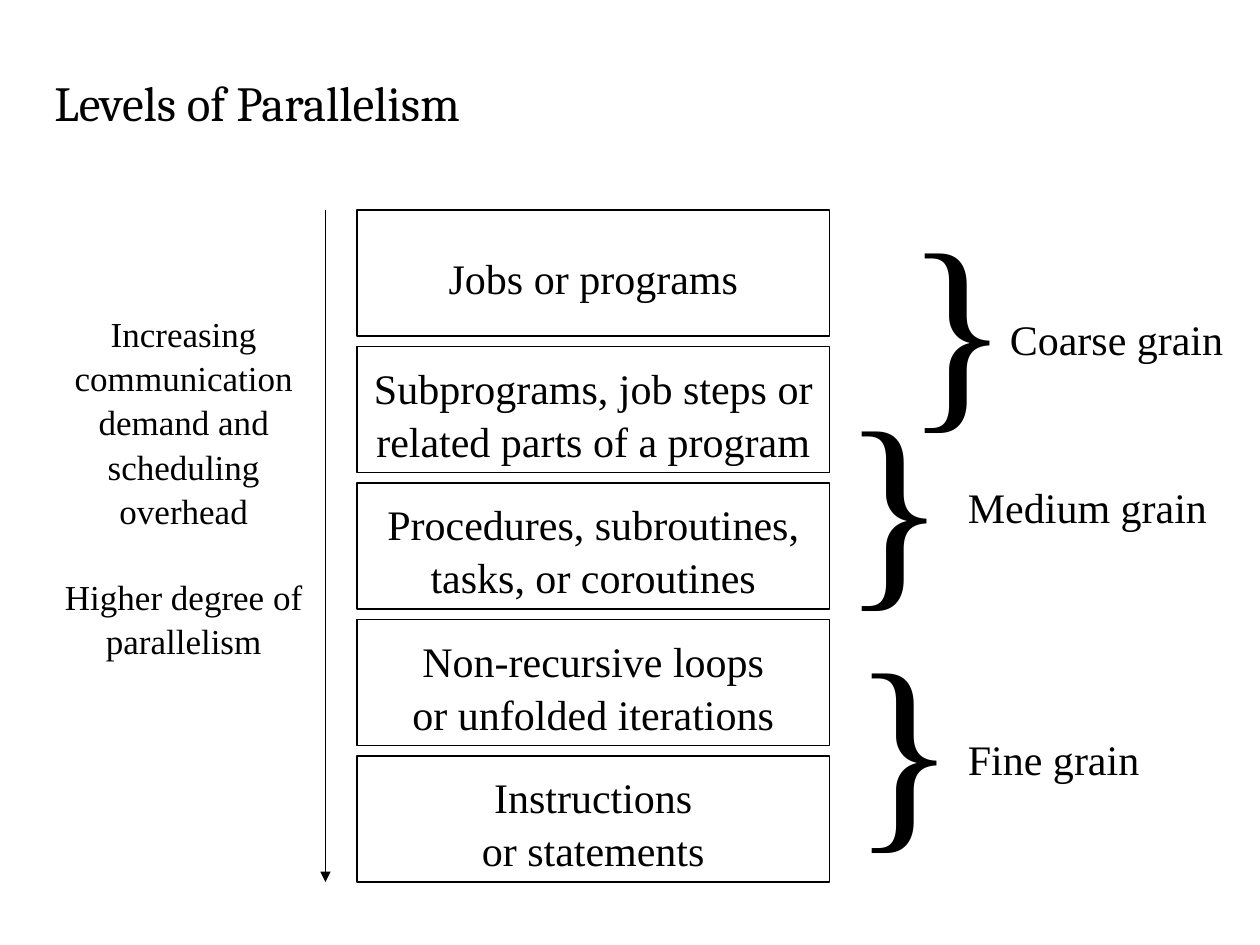
from lxml import etree
from pptx import Presentation
from pptx.dml.color import RGBColor
from pptx.enum.shapes import MSO_CONNECTOR, MSO_SHAPE
from pptx.enum.text import MSO_ANCHOR, PP_ALIGN
from pptx.oxml.ns import qn
from pptx.util import Inches, Pt

STRAIGHT, RECT = MSO_CONNECTOR.STRAIGHT, MSO_SHAPE.RECTANGLE
TOP, MIDDLE = MSO_ANCHOR.TOP, MSO_ANCHOR.MIDDLE
LEFT, CENTER = PP_ALIGN.LEFT, PP_ALIGN.CENTER
SERIF, HEADING = "Times New Roman", "Cambria"
INK = "000000"

# The slide is a grid of twelfths of an inch
COLUMNS, ROWS = 120, 90
CELL = Inches(1 / 12)

LEVELS = [
    "Jobs or programs",
    "Subprograms, job steps or\vrelated parts of a program",
    "Procedures, subroutines,\vtasks, or coroutines",
    "Non-recursive loops\vor unfolded iterations",
    "Instructions\vor statements",
]
# Label, its box, and the box of its brace, in grid cells
GRAINS = [
    ("Coarse grain", (95, 29, 24, 6), (85.1, 16, 12.2, 26)),
    ("Medium grain", (91, 45, 27, 6), (79.1, 33, 12.2, 26)),
    ("Fine grain", (91, 69, 27, 6), (80, 56, 12.2, 26)),
]
TRENDS = [
    "Increasing communication demand and scheduling overhead",
    "Higher degree of parallelism",
]


def color(value):
    return RGBColor.from_string(value)


def cells(box):
    return [round(part * CELL) for part in box]


def write(frame, lines, size, font=SERIF, align=LEFT, gap=0, wrap=True):
    frame.word_wrap = wrap
    frame.text = "\n".join(lines)
    for index, paragraph in enumerate(frame.paragraphs):
        paragraph.alignment = align
        paragraph.line_spacing = 1.05
        if index:
            paragraph.space_before = Pt(gap)
        for run in paragraph.runs:
            run.font.name, run.font.size = font, Pt(size)
            run.font.color.rgb = color(INK)


def add_text(slide, box, lines, size, **style):
    frame = slide.shapes.add_textbox(*cells(box)).text_frame
    frame.vertical_anchor = TOP
    write(frame, lines, size, **style)


def add_levels(slide, box):
    """Stack one outlined box per level, with a gap of one row."""
    left, top, width, height = box
    gap = 1
    level_height = (height - gap * (len(LEVELS) - 1)) / len(LEVELS)
    for index, level in enumerate(LEVELS):
        level_top = top + index * (level_height + gap)
        block = slide.shapes.add_shape(
            RECT, *cells((left, level_top, width, level_height)))
        block.shadow.inherit = False
        block.fill.background()
        block.line.color.rgb = color(INK)
        block.line.width = Pt(0.75)
        frame = block.text_frame
        frame.vertical_anchor = MIDDLE
        frame.margin_top = Inches(0.1)
        write(frame, [level], 24, align=CENTER)


def add_trend_arrow(slide, box):
    """Draw the arrow down the left side of the stack."""
    left, top, width, height = box
    arrow = slide.shapes.add_connector(
        STRAIGHT, *cells((left, top, left + width, top + height)))
    arrow.line.color.rgb = color(INK)
    arrow.line.width = Pt(0.75)
    etree.SubElement(arrow.line._get_or_add_ln(), qn("a:tailEnd"),
                     type="triangle")
    etree.SubElement(arrow._element.spPr, qn("a:effectLst"))


def add_grain(slide, label, label_box, brace_box):
    add_text(slide, brace_box, ["}"], 124, wrap=False)
    add_text(slide, label_box, [label], 24)


def main():
    deck = Presentation()
    deck.slide_width, deck.slide_height = COLUMNS * CELL, ROWS * CELL
    slide = deck.slides.add_slide(deck.slide_layouts[6])

    # Title
    add_text(slide, (4, 6, 105, 10), ["Levels of Parallelism"], 28,
             font=HEADING)
    # Levels, coarsest first
    add_levels(slide, (34, 20, 45, 64))
    # Grain sizes
    for label, label_box, brace_box in GRAINS:
        add_grain(slide, label, label_box, brace_box)
    # Trend down the levels
    add_trend_arrow(slide, (31, 20, 0, 64))
    add_text(slide, (5, 29, 25, 33), TRENDS, 20, align=CENTER, gap=24)

    deck.save("out.pptx")


if __name__ == "__main__":
    main()
